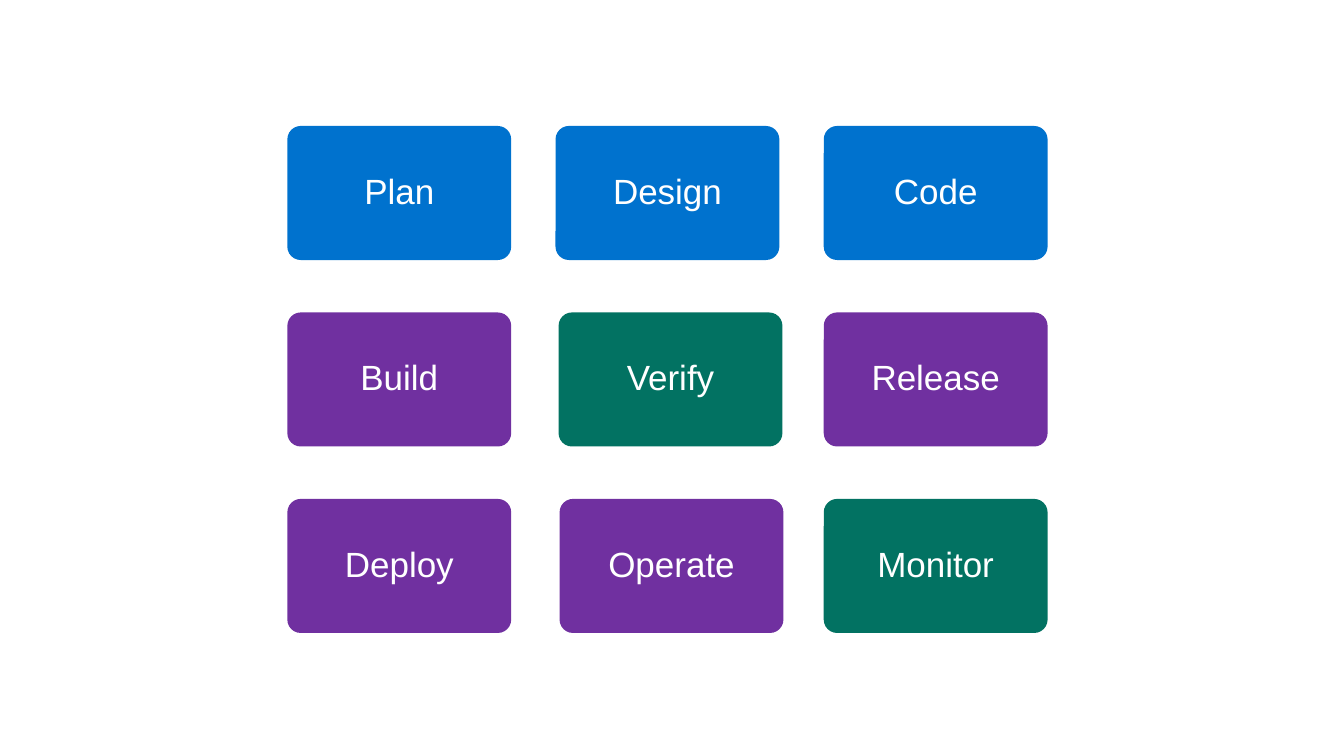
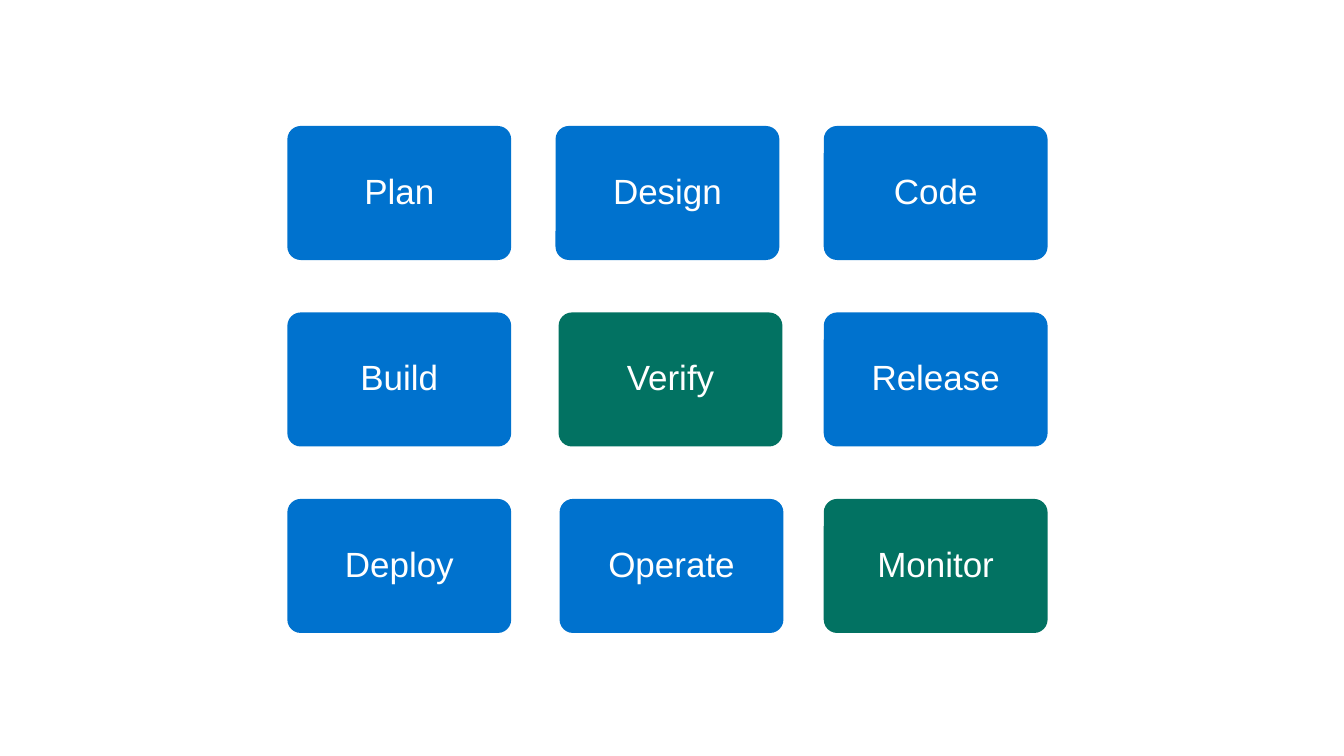
from pptx import Presentation
from pptx.dml.color import RGBColor
from pptx.enum.shapes import MSO_SHAPE
from pptx.enum.text import MSO_ANCHOR, PP_ALIGN
from pptx.util import Inches, Pt

BLUE, PURPLE, GREEN, WHITE = "0072CE", "7030A0", "027262", "FFFFFF"

STAGES = [
    ["Plan", "Design", "Code"],
    ["Build", "Verify", "Release"],
    ["Deploy", "Operate", "Monitor"],
]
# Each slide lists the stages that stand out; all others are blue.
CHECKS = {"Verify": GREEN, "Monitor": GREEN}
DELIVERY = dict.fromkeys(["Build", "Release", "Deploy", "Operate"], PURPLE)
SLIDES = [{**CHECKS, **DELIVERY}, CHECKS]

LEFT, TOP = 2.85, 1.25
COLUMN_STEP, ROW_STEP = 2.66, 1.85
CARD_WIDTH, CARD_HEIGHT = 2.22, 1.33
# Two cards sit slightly right of their column.
SHIFT_RIGHT = {"Verify": 0.03, "Operate": 0.04}


def color(hex_value):
    return RGBColor.from_string(hex_value)


def add_card(page, label, left, top, fill):
    card = page.shapes.add_shape(
        MSO_SHAPE.ROUNDED_RECTANGLE,
        Inches(left), Inches(top), Inches(CARD_WIDTH), Inches(CARD_HEIGHT),
    )
    card.adjustments[0] = 0.1
    card.shadow.inherit = False
    card.fill.solid()
    card.fill.fore_color.rgb = color(fill)
    card.line.fill.background()

    frame = card.text_frame
    frame.word_wrap = True
    frame.vertical_anchor = MSO_ANCHOR.MIDDLE
    frame.margin_left = frame.margin_right = Inches(0.1)
    frame.margin_top = frame.margin_bottom = Inches(0.1)
    para = frame.paragraphs[0]
    para.text = label
    para.alignment = PP_ALIGN.CENTER
    para.line_spacing = 0.9
    para.font.name = "Arial"
    para.font.size = Pt(25)
    para.font.color.rgb = color(WHITE)


def add_stage_grid(deck, highlights):
    page = deck.slides.add_slide(deck.slide_layouts[6])
    for row, labels in enumerate(STAGES):
        for column, label in enumerate(labels):
            left = LEFT + column * COLUMN_STEP + SHIFT_RIGHT.get(label, 0)
            top = TOP + row * ROW_STEP
            add_card(page, label, left, top, highlights.get(label, BLUE))


def main():
    deck = Presentation()
    deck.slide_width, deck.slide_height = Inches(13.33), Inches(7.5)
    for highlights in SLIDES:
        add_stage_grid(deck, highlights)
    deck.save("out.pptx")


if __name__ == "__main__":
    main()
